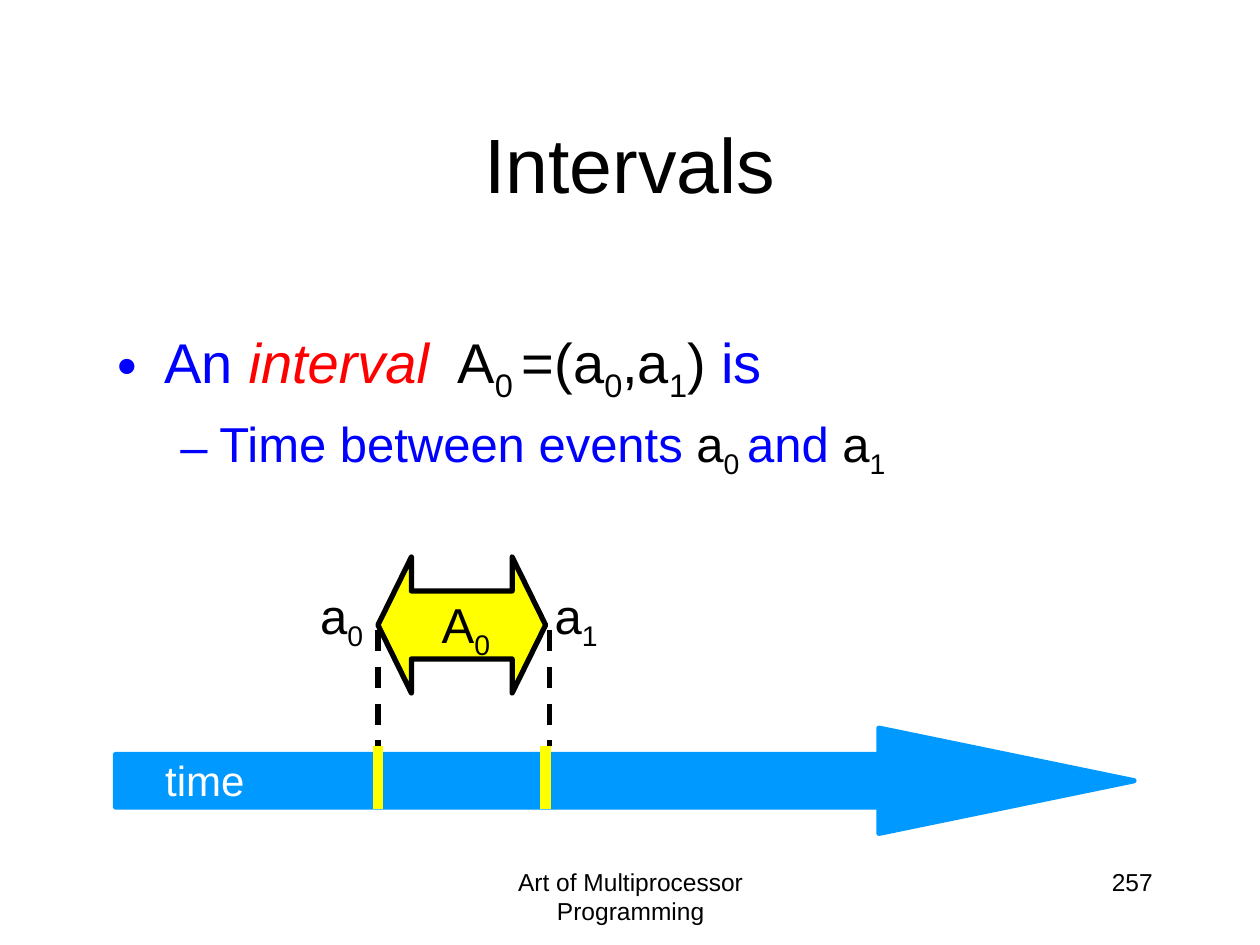
from dataclasses import dataclass

import lxml.etree
import pptx
import pptx.dml.color
import pptx.enum.dml
import pptx.enum.shapes
import pptx.enum.text
import pptx.oxml.ns
import pptx.util

Cm = pptx.util.Cm
Pt = pptx.util.Pt
Align = pptx.enum.text.PP_ALIGN
AutoSize = pptx.enum.text.MSO_AUTO_SIZE
Shapes = pptx.enum.shapes.MSO_SHAPE


@dataclass(frozen=True)
class Theme:
    font: str = "Arial"
    ink: str = "000000"
    text: str = "0000FF"
    accent: str = "FF0000"
    time: str = "0099FF"
    interval: str = "FFFF00"
    white: str = "FFFFFF"
    title_size: int = 44
    body_size: int = 32
    label_size: int = 28
    time_size: int = 24
    footer_size: int = 14
    line: int = 3
    tick: int = 6


THEME = Theme()


@dataclass(frozen=True)
class Box:
    """A region, in centimetres."""
    left: float
    top: float
    width: float
    height: float

    def inner(self, left, top, width, height):
        return Box(self.left + left, self.top + top, width, height)

    def lengths(self):
        return [Cm(value) for value in (self.left, self.top, self.width, self.height)]


def rgb(color):
    return pptx.dml.color.RGBColor.from_string(color)


def format_paragraph(paragraph, size, color, align):
    paragraph.alignment = align
    paragraph.font.name = THEME.font
    paragraph.font.size = Pt(size)
    paragraph.font.color.rgb = rgb(color)


def add_run(paragraph, text, color=None, italic=None, subscript=False):
    run = paragraph.add_run()
    run.text = text
    if color:
        run.font.color.rgb = rgb(color)
    run.font.italic = italic
    if subscript:
        run._r.get_or_add_rPr().set("baseline", "-25000")


def add_text(slide, box, text, size, color, align, subscript="", wrap=False):
    shape = slide.shapes.add_textbox(*box.lengths())
    frame = shape.text_frame
    frame.word_wrap = wrap
    if not wrap:
        frame.auto_size = AutoSize.SHAPE_TO_FIT_TEXT
    paragraph = frame.paragraphs[0]
    format_paragraph(paragraph, size, color, align)
    add_run(paragraph, text)
    if subscript:
        add_run(paragraph, subscript, subscript=True)


def add_arrow(slide, kind, box, adjustments, fill, line):
    shape = slide.shapes.add_shape(kind, *box.lengths())
    for index, value in enumerate(adjustments):
        shape.adjustments[index] = value
    shape.shadow.inherit = False
    shape.fill.solid()
    shape.fill.fore_color.rgb = rgb(fill)
    shape.line.color.rgb = rgb(line)
    shape.line.width = Pt(THEME.line)


def add_vertical(slide, x, top, bottom, color, width, dashed=False):
    connector = slide.shapes.add_connector(
        pptx.enum.shapes.MSO_CONNECTOR.STRAIGHT, Cm(x), Cm(top), Cm(x), Cm(bottom))
    connector.line.color.rgb = rgb(color)
    connector.line.width = Pt(width)
    if dashed:
        connector.line.dash_style = pptx.enum.dml.MSO_LINE.DASH
    lxml.etree.SubElement(connector._element.spPr, pptx.oxml.ns.qn("a:effectLst"))


def place(shape, box):
    shape.left, shape.top, shape.width, shape.height = box.lengths()
    shape.text_frame.auto_size = AutoSize.NONE


def fill_title(slide, box):
    title = slide.shapes.title
    place(title, box)
    title.text_frame.vertical_anchor = pptx.enum.text.MSO_ANCHOR.MIDDLE
    paragraph = title.text_frame.paragraphs[0]
    format_paragraph(paragraph, THEME.title_size, THEME.ink, Align.CENTER)
    add_run(paragraph, "Intervals")


def set_bullet(paragraph, character, margin, hanging):
    properties = paragraph._p.get_or_add_pPr()
    properties.set("marL", str(Cm(margin)))
    properties.set("indent", str(-Cm(hanging)))
    bullet = lxml.etree.SubElement(properties, pptx.oxml.ns.qn("a:buChar"))
    bullet.set("char", character)


def fill_body(slide, box):
    body = slide.placeholders[1]
    place(body, box)
    frame = body.text_frame
    frame.margin_top = Cm(0.25)
    ink = THEME.ink

    definition = frame.paragraphs[0]
    set_bullet(definition, "•", 0.95, 0.95)
    format_paragraph(definition, THEME.body_size, THEME.text, Align.LEFT)
    definition.space_before = Pt(0)
    add_run(definition, "An ")
    add_run(definition, "interval ", THEME.accent, italic=True)
    for text, subscript in ((" A", "0 "), ("=(a", "0"), (",a", "1")):
        add_run(definition, text, ink)
        add_run(definition, subscript, ink, subscript=True)
    add_run(definition, ")", ink)
    add_run(definition, " is")

    meaning = frame.add_paragraph()
    meaning.level = 1
    set_bullet(meaning, "–", 2.06, 0.79)
    format_paragraph(meaning, THEME.label_size, THEME.text, Align.LEFT)
    meaning.space_before = Pt(5.6)
    for text, subscript in (("Time between events ", "0 "), ("and ", "1")):
        add_run(meaning, text)
        add_run(meaning, "a", ink)
        add_run(meaning, subscript, ink, subscript=True)


def draw_time_arrow(slide, box):
    add_arrow(slide, Shapes.RIGHT_ARROW, box, (0.5, 2.425), THEME.time, THEME.time)
    add_text(slide, box.inner(0.72, 0.41, 2.13, 1.3), "time",
             THEME.time_size, THEME.white, Align.RIGHT)


def draw_interval(slide, box):
    """Double arrow in the box, with its events dropped onto the time arrow."""
    start, end = box.left, box.left + box.width
    drop_top, tick_top, tick_bottom = (box.top + y for y in (1.47, 3.81, 5.08))
    for x in (start, end + 0.07):
        add_vertical(slide, x, drop_top, tick_top, THEME.ink, THEME.line, dashed=True)
    add_arrow(slide, Shapes.LEFT_RIGHT_ARROW, box, (0.5, 0.246), THEME.interval, THEME.ink)
    labels = (("a", "0", -1.52, 0.45, 1.47), ("a", "1", 3.23, 0.45, 1.45),
              ("A", "0", 0.94, 0.63, 1.57))
    for text, subscript, left, top, width in labels:
        add_text(slide, box.inner(left, top, width, 1.45), text,
                 THEME.label_size, THEME.ink, Align.RIGHT, subscript)
    for x in (start, end):
        add_vertical(slide, x, tick_top, tick_bottom, THEME.interval, THEME.tick)


def draw_footer(slide, box):
    parts = (("Art of Multiprocessor Programming", 0, 8.05, Align.CENTER),
             ("257", 9.52, 5.28, Align.RIGHT))
    for text, left, width, align in parts:
        add_text(slide, box.inner(left, 0, width, box.height), text,
                 THEME.footer_size, THEME.ink, align, wrap=True)


def main():
    presentation = pptx.Presentation()
    presentation.slide_width, presentation.slide_height = Cm(25.4), Cm(19.05)
    slide = presentation.slides.add_slide(presentation.slide_layouts[1])
    fill_title(slide, Box(1.9, 1.7, 21.59, 3.17))
    fill_body(slide, Box(2.11, 6.35, 21.59, 9.1))
    draw_time_arrow(slide, Box(2.33, 14.68, 20.53, 2.12))
    draw_interval(slide, Box(7.62, 11.23, 3.38, 2.74))
    draw_footer(slide, Box(8.69, 17.35, 14.8, 1.27))
    presentation.save("out.pptx")


if __name__ == "__main__":
    main()
